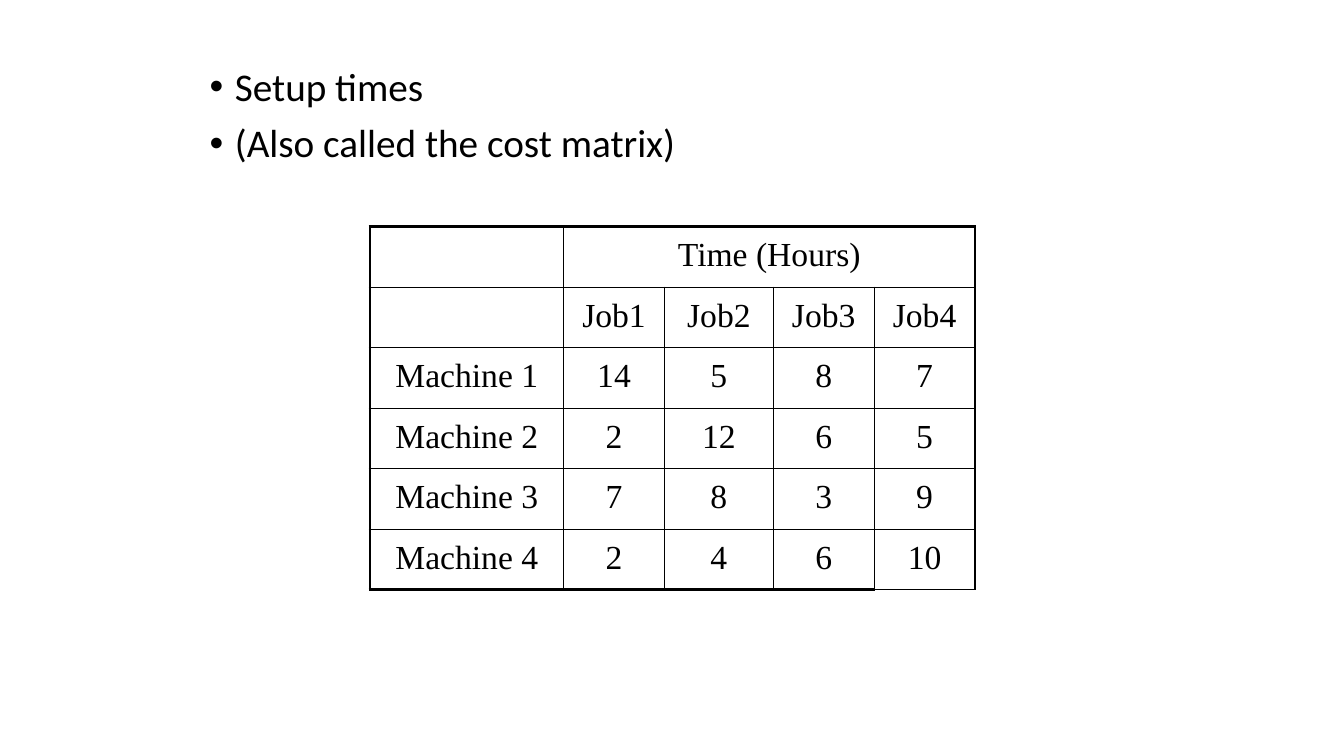
from lxml.etree import SubElement
from pptx import Presentation
from pptx.dml.color import RGBColor
from pptx.enum.text import MSO_ANCHOR, MSO_AUTO_SIZE, PP_ALIGN
from pptx.oxml import parse_xml
from pptx.oxml.ns import nsdecls, qn
from pptx.util import Inches, Pt

BLACK = RGBColor(0, 0, 0)
THIN, THICK = 1, 2.25
COLUMN_WIDTHS = [1.92, 1, 1.08, 1, 1]
ROW_HEIGHT = 0.6
BULLETS = ["Setup times", "(Also called the cost matrix)"]
SETUP_TIMES = [
    ["", "Time (Hours)", "", "", ""],
    ["", "Job1", "Job2", "Job3", "Job4"],
    ["Machine 1", "14", "5", "8", "7"],
    ["Machine 2", "2", "12", "6", "5"],
    ["Machine 3", "7", "8", "3", "9"],
    ["Machine 4", "2", "4", "6", "10"],
]


def write(paragraph, text, font, size, align):
    paragraph.alignment = align
    run = paragraph.add_run()
    run.text = text
    run.font.name = font
    run.font.size = Pt(size)
    run.font.color.rgb = BLACK


def set_borders(cell, widths):
    properties = cell._tc.get_or_add_tcPr()
    for position, (side, width) in enumerate(widths.items()):
        line = parse_xml(
            f'<a:ln{side} {nsdecls("a")} w="{Pt(width)}"><a:solidFill>'
            f'<a:srgbClr val="{BLACK}"/></a:solidFill></a:ln{side}>'
        )
        properties.insert(position, line)


presentation = Presentation()
presentation.slide_width = Inches(13.33)
presentation.slide_height = Inches(7.5)
slide = presentation.slides.add_slide(presentation.slide_layouts[0])
title = slide.shapes.title._element
title.getparent().remove(title)

body = slide.placeholders[1]
body.left, body.top = Inches(2.08), Inches(0.67)
body.width, body.height = Inches(9.17), Inches(6.5)
frame = body.text_frame
frame.margin_left = frame.margin_right = frame.margin_top = frame.margin_bottom = 0
frame.vertical_anchor = MSO_ANCHOR.TOP
frame.auto_size = MSO_AUTO_SIZE.NONE
frame.word_wrap = True
for index, text in enumerate(BULLETS):
    paragraph = frame.add_paragraph() if index else frame.paragraphs[0]
    write(paragraph, text, "Calibri", 28, PP_ALIGN.LEFT)
    paragraph.line_spacing = 0.9
    paragraph.space_before = Pt(10)
    properties = paragraph._p.get_or_add_pPr()
    properties.set("marL", str(Inches(0.25)))
    properties.set("indent", str(-Inches(0.25)))
    SubElement(properties, qn("a:buFont"), typeface="Arial")
    SubElement(properties, qn("a:buChar"), char="•")

row_count, column_count = len(SETUP_TIMES), len(COLUMN_WIDTHS)
table = slide.shapes.add_table(
    row_count, column_count, Inches(3.67), Inches(2.25),
    Inches(sum(COLUMN_WIDTHS)), Inches(ROW_HEIGHT * row_count),
).table
table.first_row = table.horz_banding = False
for column, width in zip(table.columns, COLUMN_WIDTHS):
    column.width = Inches(width)
table.cell(0, 1).merge(table.cell(0, column_count - 1))

for row, values in enumerate(SETUP_TIMES):
    table.rows[row].height = Inches(ROW_HEIGHT)
    for column, text in enumerate(values):
        cell = table.cell(row, column)
        cell.margin_left = cell.margin_right = Inches(0.1)
        cell.margin_top = cell.margin_bottom = Inches(0.1)
        cell.fill.background()
        at_right = column == column_count - 1 or cell.is_merge_origin
        at_bottom = row == row_count - 1 and not at_right
        set_borders(cell, {
            "L": THIN if column else THICK,
            "R": THICK if at_right else THIN,
            "T": THIN if row else THICK,
            "B": THICK if at_bottom else THIN,
        })
        if text:
            write(cell.text_frame.paragraphs[0], text, "Times New Roman", 24, PP_ALIGN.CENTER)

presentation.save("out.pptx")
